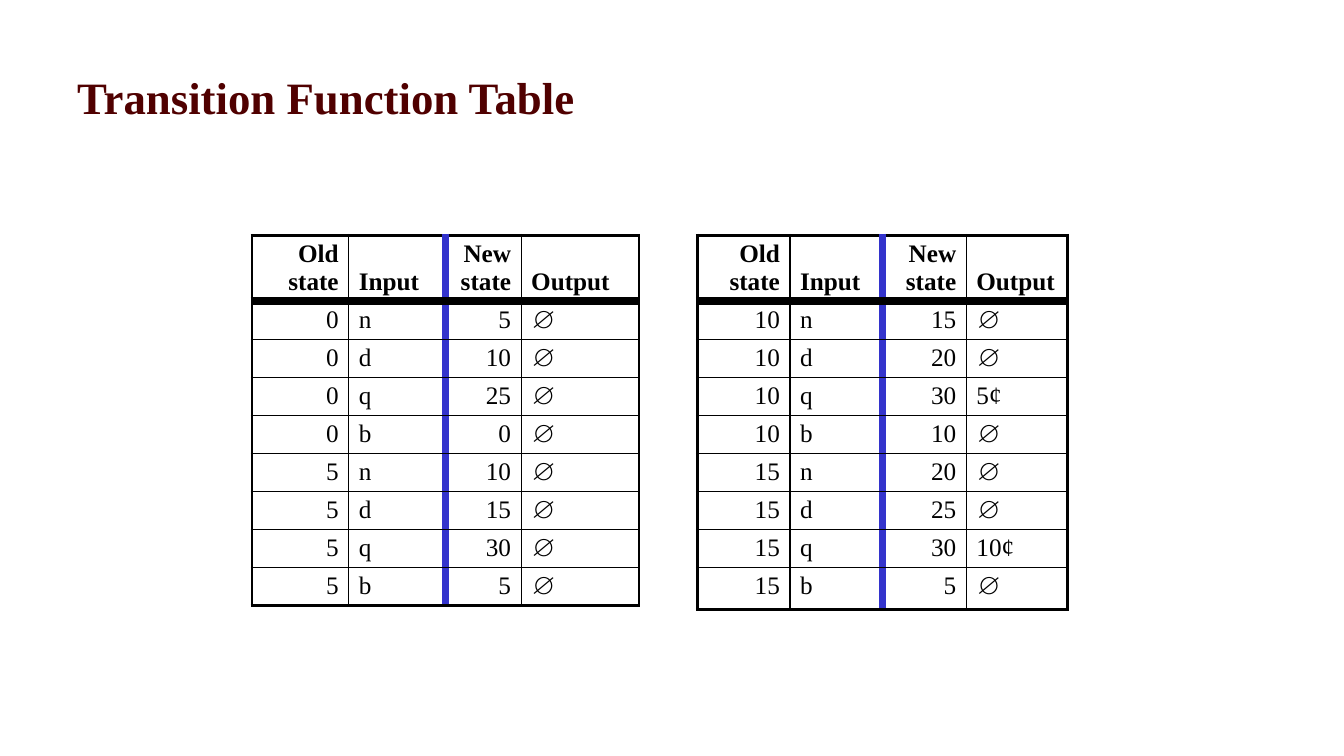
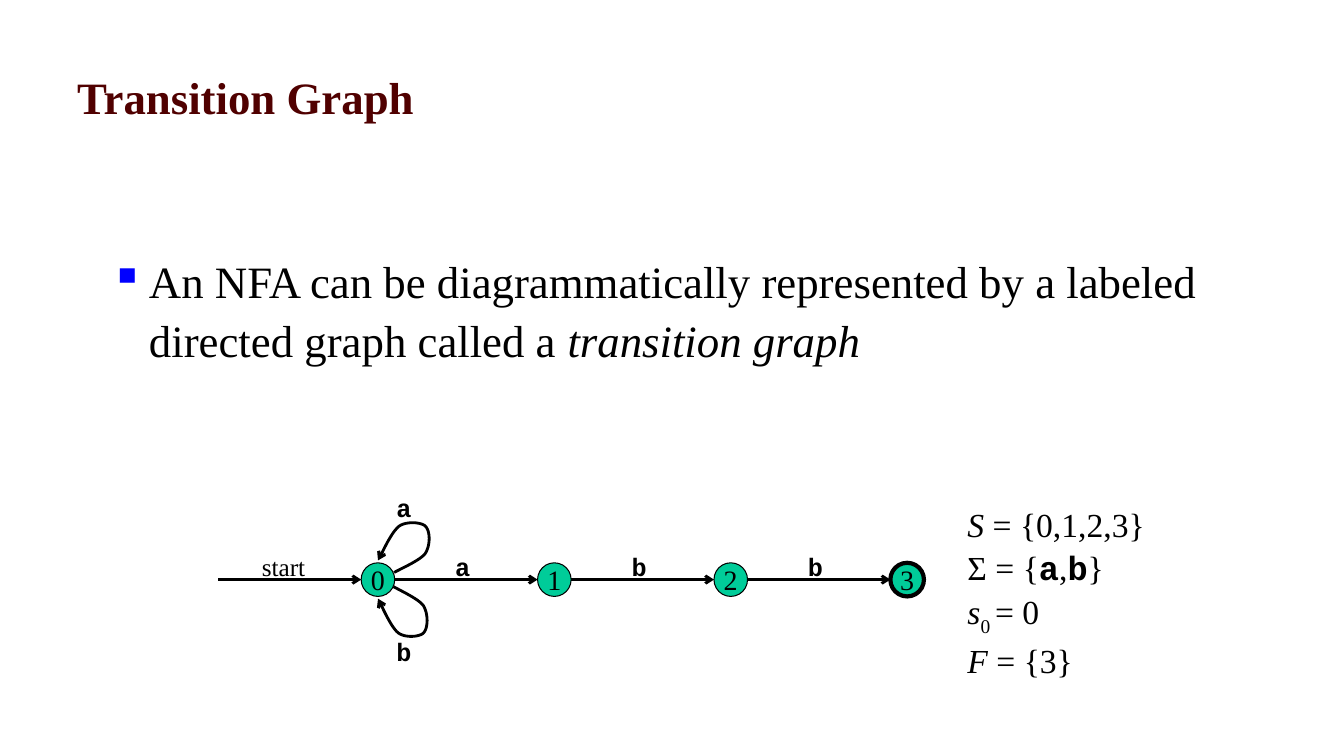
from dataclasses import dataclass
from typing import NamedTuple

from lxml.etree import SubElement
from pptx import Presentation
from pptx.dml.color import RGBColor as Rgb
from pptx.enum.shapes import MSO_CONNECTOR as Link, MSO_SHAPE as Kind
from pptx.enum.text import MSO_ANCHOR as Anchor, MSO_AUTO_SIZE as Auto, PP_ALIGN as Align
from pptx.oxml import parse_xml
from pptx.oxml.ns import nsdecls, qn
from pptx.util import Inches, Pt

BLACK = Rgb(0, 0, 0)
WHITE = Rgb(255, 255, 255)
MAROON = Rgb(0x50, 0, 0)
BLUE = Rgb(0, 0, 255)
INDIGO = Rgb(0x33, 0x33, 0xCC)
GREEN = Rgb(0, 0xCC, 0x99)

SERIF = "Times New Roman"
MONO = "Courier New"

WIDE, HIGH = Inches(13.33), Inches(7.5)
COLS, ROWS = 160, 90

THIN, EDGE, THICK = 1, 2.25, 6
AXIS = 69
FIRST, STEP, SIZE = 43, 21, 4


class Box(NamedTuple):
    col: float
    row: float
    cols: float
    rows: float


class Bit(NamedTuple):
    text: str
    italic: bool = False
    mono: bool = False
    sub: bool = False


class Style(NamedTuple):
    size: float
    color: Rgb = BLACK
    bold: bool = False
    name: str = SERIF


@dataclass
class Grid:
    box: Box
    widths: list[float]
    last: float
    moves: list[str]


@dataclass
class Label:
    text: str
    box: Box
    name: str = MONO


HEAD = ["Old state", "Input", "New state", "Output"]
GRIDS = [
    Grid(Box(30, 28, 46, 46.8), [0.96, 0.96, 0.75, 1.17], 0.37,
         ["0 n 5 ∅", "0 d 10 ∅", "0 q 25 ∅", "0 b 0 ∅",
          "5 n 10 ∅", "5 d 15 ∅", "5 q 30 ∅", "5 b 5 ∅"]),
    Grid(Box(83, 28, 44, 47), [0.92, 0.92, 0.83, 1], 0.42,
         ["10 n 15 ∅", "10 d 20 ∅", "10 q 30 5¢", "10 b 10 ∅",
          "15 n 20 ∅", "15 d 25 ∅", "15 q 30 10¢", "15 b 5 ∅"]),
]

LABELS = [
    Label("start", Box(30, 65, 7.6, 4.8), SERIF),
    Label("a", Box(46, 58, 4.2, 4.8)),
    Label("b", Box(46, 75.2, 4.2, 4.8)),
] + [Label(t, Box(53 + STEP * i, 65, 4.2, 4.8)) for i, t in enumerate("abb")]

FACTS = [
    [Bit("S ", italic=True), Bit("= {0,1,2,3}")],
    [Bit("Σ = {"), Bit("a", mono=True), Bit(","), Bit("b", mono=True), Bit("}")],
    [Bit("s", italic=True), Bit("0 ", sub=True), Bit("= 0")],
    [Bit("F ", italic=True), Bit("= {3}")],
]

LOOP = [
    (1.92, -0.84), (2.52, -1.2), (5.04, -2.28), (5.64, -3.12),
    (6.24, -4.08), (6.24, -5.76), (5.64, -6.36), (5.16, -6.84),
    (3.36, -6.96), (2.52, -6.36), (1.56, -5.64), (0.48, -3.12), (0, -2.28),
]


def across(col: float) -> int:
    return round(WIDE * col / COLS)


def down(row: float) -> int:
    return round(HIGH * row / ROWS)


def frame(box: Box) -> tuple[int, int, int, int]:
    return across(box.col), down(box.row), across(box.cols), down(box.rows)


def dress(font, style: Style) -> None:
    font.size = Pt(style.size)
    font.name = style.name
    font.bold = style.bold
    font.color.rgb = style.color


def write(para, bits: list[Bit], style: Style) -> None:
    dress(para.font, style)
    for bit in bits:
        run = para.add_run()
        run.text = bit.text
        if bit.italic:
            run.font.italic = True
        if bit.mono:
            run.font.name = MONO
            run.font.bold = True
        if bit.sub:
            run._r.get_or_add_rPr().set("baseline", "-25000")


def add_text(slide, box: Box, lines: list[list[Bit]], style: Style, wrap: bool = False):
    text = slide.shapes.add_textbox(*frame(box)).text_frame
    text.word_wrap = wrap
    text.auto_size = Auto.NONE if wrap else Auto.SHAPE_TO_FIT_TEXT
    for i, bits in enumerate(lines):
        para = text.add_paragraph() if i else text.paragraphs[0]
        write(para, bits, style)
    return text


def add_page(deck, title: str):
    slide = deck.slides.add_slide(deck.slide_layouts[6])
    text = add_text(slide, Box(8, 4, 144, 15), [[Bit(title)]],
                    Style(32, MAROON, True), True)
    text.vertical_anchor = Anchor.MIDDLE
    return slide


def add_edges(cell, sides: dict[str, tuple[Rgb, float]]) -> None:
    props = cell._tc.get_or_add_tcPr()
    for i, side in enumerate("LRTB"):
        color, width = sides[side]
        props.insert(i, parse_xml(
            f'<a:ln{side} {nsdecls("a")} w="{Pt(width)}"><a:solidFill>'
            f'<a:srgbClr val="{color}"/></a:solidFill></a:ln{side}>'))


def add_grid(slide, grid: Grid) -> None:
    data = [HEAD] + [move.split() for move in grid.moves]
    end = len(data) - 1
    table = slide.shapes.add_table(len(data), len(HEAD), *frame(grid.box)).table
    table.first_row = table.horz_banding = False
    for col, width in zip(table.columns, grid.widths):
        col.width = Inches(width)
    lines = [(BLACK, EDGE), (BLACK, THIN), (INDIGO, THICK), (BLACK, THIN), (BLACK, EDGE)]
    for r, words in enumerate(data):
        table.rows[r].height = Inches(0.65 if r == 0 else grid.last if r == end else 0.37)
        top = EDGE if r == 0 else THICK if r == 1 else THIN
        base = THICK if r == 0 else EDGE if r == end else THIN
        for c, word in enumerate(words):
            cell = table.cell(r, c)
            cell.fill.solid()
            cell.fill.fore_color.rgb = WHITE
            cell.vertical_anchor = Anchor.TOP if r else Anchor.BOTTOM
            para = cell.text_frame.paragraphs[0]
            para.alignment = Align.LEFT if c % 2 else Align.RIGHT
            write(para, [Bit(word)], Style(18, bold=r == 0))
            add_edges(cell, {"L": lines[c], "R": lines[c + 1],
                             "T": (BLACK, top), "B": (BLACK, base)})


def ink(shape) -> None:
    shape.line.color.rgb = BLACK
    shape.line.width = Pt(2)
    SubElement(shape.line._get_or_add_ln(), qn("a:tailEnd"), type="arrow")


def add_arrow(slide, start: float, stop: float) -> None:
    link = slide.shapes.add_connector(
        Link.STRAIGHT, across(start), down(AXIS), across(stop), down(AXIS))
    ink(link)
    SubElement(link._element.spPr, qn("a:effectLst"))


def add_loop(slide, flip: int, scale: float) -> None:
    knots = [(across(FIRST + SIZE / 2 + x * scale), down(AXIS + y * flip)) for x, y in LOOP]
    dots = []
    for i in range(0, len(knots) - 1, 3):
        for n in range(1, 13):
            t = n / 12
            parts = ((1 - t) ** 3, 3 * t * (1 - t) ** 2, 3 * t * t * (1 - t), t ** 3)
            dots.append(tuple(round(sum(w * k[d] for w, k in zip(parts, knots[i:i + 4])))
                              for d in (0, 1)))
    path = slide.shapes.build_freeform(*knots[0], scale=1)
    path.add_line_segments(dots, close=False)
    loop = path.convert_to_shape()
    loop.shadow.inherit = False
    loop.fill.background()
    ink(loop)


def add_node(slide, num: int, final: bool) -> None:
    box = Box(FIRST + STEP * num, AXIS - SIZE / 2, SIZE, SIZE)
    node = slide.shapes.add_shape(Kind.OVAL, *frame(box))
    node.shadow.inherit = False
    node.fill.solid()
    node.fill.fore_color.rgb = GREEN
    node.line.color.rgb = BLACK
    node.line.width = Pt(3 if final else 0.75)
    text = node.text_frame
    text.word_wrap = False
    text.vertical_anchor = Anchor.MIDDLE
    para = text.paragraphs[0]
    para.alignment = Align.CENTER
    write(para, [Bit(str(num))], Style(20))


def add_point(slide) -> None:
    text = add_text(slide, Box(12, 29, 140, 20), [[]], Style(32), True)
    para = text.paragraphs[0]
    props = para._p.get_or_add_pPr()
    props.set("marL", str(Inches(0.38)))
    props.set("indent", str(Inches(-0.38)))
    props.insert(0, parse_xml(f'<a:buClr {nsdecls("a")}><a:srgbClr val="{BLUE}"/></a:buClr>'))
    props.insert(1, parse_xml(f'<a:buChar {nsdecls("a")} char="▪"/>'))
    para.line_spacing = 1.1
    write(para, [Bit("An NFA can be diagrammatically represented by a labeled "
                     "directed graph called a "),
                 Bit("transition graph", italic=True)], Style(32))


def add_graph(slide) -> None:
    for num in range(4):
        stop = FIRST + STEP * num
        add_arrow(slide, stop - STEP + SIZE if num else 26, stop)
        add_node(slide, num, num == 3)
    add_loop(slide, 1, 1)
    add_loop(slide, -1, 0.96)
    for label in LABELS:
        add_text(slide, label.box, [[Bit(label.text)]],
                 Style(18, bold=label.name == MONO, name=label.name))
    text = add_text(slide, Box(114, 59, 23.8, 20.6), FACTS, Style(24))
    for para in text.paragraphs:
        para.line_spacing = 1.08


def main() -> None:
    deck = Presentation()
    deck.slide_width, deck.slide_height = WIDE, HIGH
    page = add_page(deck, "Transition Function Table")
    for grid in GRIDS:
        add_grid(page, grid)
    page = add_page(deck, "Transition Graph")
    add_point(page)
    add_graph(page)
    deck.save("out.pptx")


if __name__ == "__main__":
    main()
